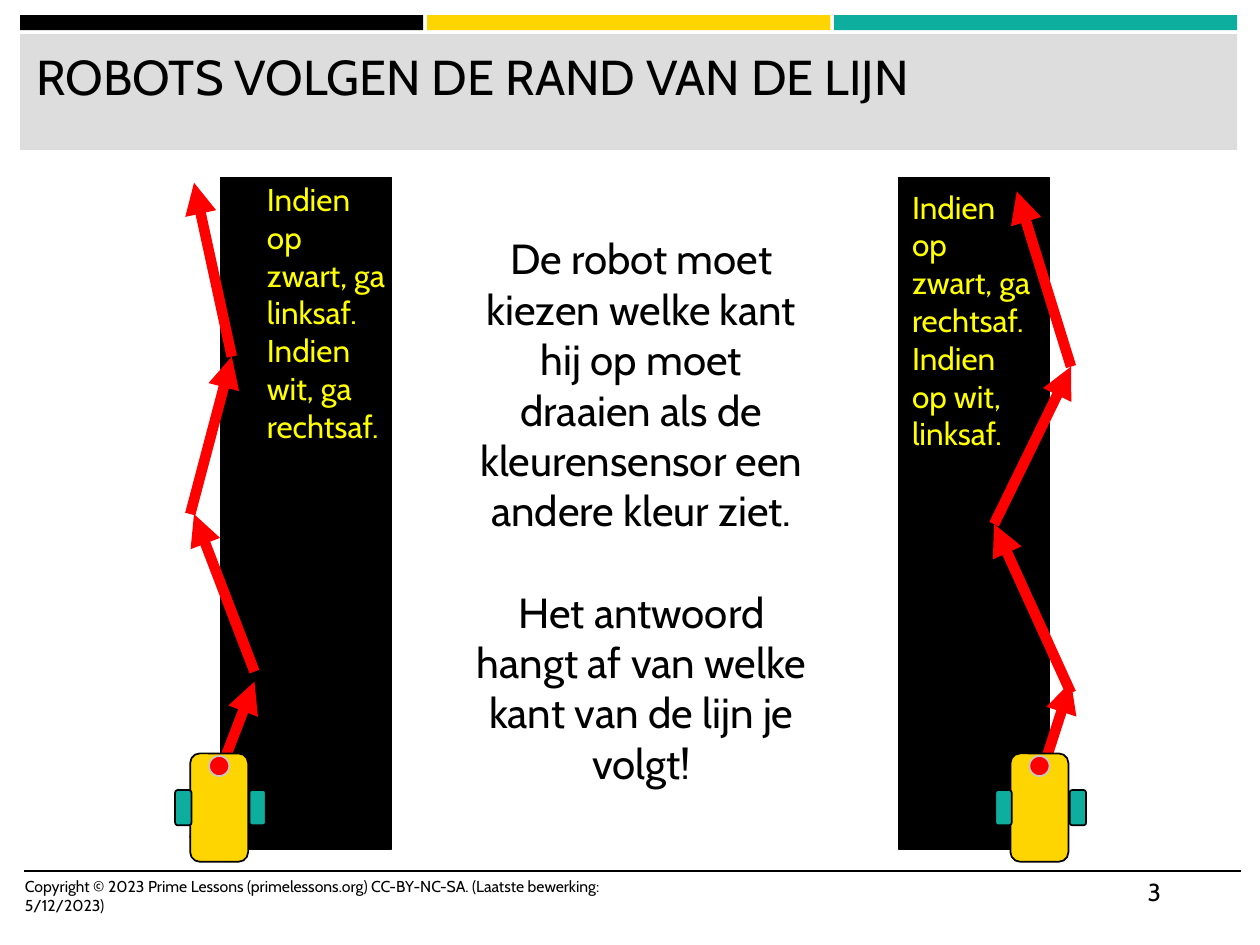
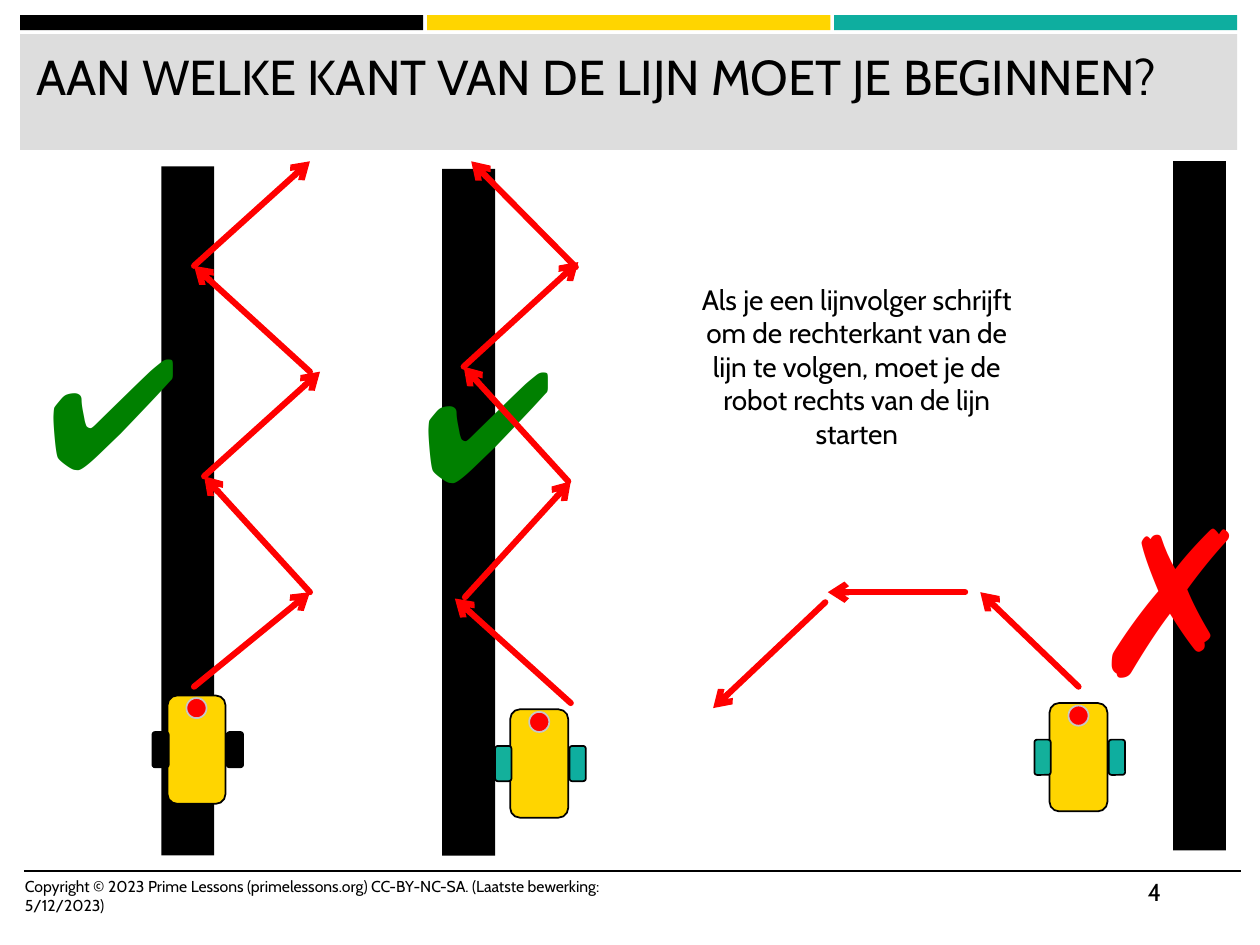
import itertools

import pptx
import pptx.dml.color
import pptx.enum.shapes
import pptx.enum.text
import pptx.oxml.ns
import pptx.util
from lxml import etree

RGB = pptx.dml.color.RGBColor
SHAPE = pptx.enum.shapes.MSO_SHAPE
ALIGN = pptx.enum.text.PP_ALIGN
Inches = pptx.util.Inches
Pt = pptx.util.Pt

BLACK = RGB(0x00, 0x00, 0x00)
WHITE = RGB(0xFF, 0xFF, 0xFF)
GOLD = RGB(0xFF, 0xD5, 0x00)
TEAL = RGB(0x0E, 0xAE, 0x9F)
TEAL_LEFT = RGB(0x13, 0xB0, 0x9B)
GREY = RGB(0xDD, 0xDD, 0xDD)
SILVER = RGB(0xC7, 0xC7, 0xC7)
RED = RGB(0xFF, 0x00, 0x00)
GREEN = RGB(0x00, 0x80, 0x00)
YELLOW = RGB(0xFF, 0xFF, 0x00)

FONT = "Cabin"
MARK_FONT = "Arial"
FOOTER = ("Copyright © 2023 Prime Lessons (primelessons.org) CC-BY-NC-SA. "
          "(Laatste bewerking: 5/12/2023)")
BAND_LEFT, BAND_WIDTH, BAND_PITCH = 0.16, 3.2, 3.23
FOOT_TOP, FOOT_HEIGHT = 6.91, 0.4

# Each route is a list of points; every step between two points is one arrow.
# Robots: left, top, left wheel colour, right wheel colour.
SLIDES = [
    dict(
        number=3,
        title="ROBOTS VOLGEN DE RAND VAN DE LIJN",
        tracks=[(1.75, 1.41, 1.36, 5.33), (7.13, 1.41, 1.2, 5.33)],
        track_outline=0.75,
        marks=[],
        arrow=dict(width=6, head="triangle", cap="flat"),
        routes=[
            [(1.54, 6.66), (2.02, 5.41)],
            [(2.02, 5.33), (1.54, 4.08)],
            [(1.51, 4.08), (1.84, 2.83), (1.54, 1.45)],
            [(8.07, 6.75), (8.5, 5.41)],
            [(8.5, 5.5), (7.89, 4.16), (8.5, 2.91), (8.07, 1.52)],
        ],
        texts=[
            dict(box=(3.65, 1.8, 2.88, 4.54), size=24, align=ALIGN.CENTER, gap=29,
                 lines=["De robot moet kiezen welke kant hij op moet draaien als "
                        "de kleurensensor een andere kleur ziet.",
                        "Het antwoord hangt af van welke kant van de lijn je volgt!"]),
            dict(box=(2.02, 1.38, 1.15, 2.22), size=18, color=YELLOW,
                 lines=["Indien op zwart, ga linksaf.", "Indien wit, ga rechtsaf."]),
            dict(box=(7.14, 1.44, 1.15, 2.22), size=18, color=YELLOW,
                 lines=["Indien op zwart, ga rechtsaf.", "Indien op wit, linksaf."]),
        ],
        robots=[(1.51, 5.98, TEAL, TEAL), (8.02, 5.98, TEAL, TEAL)],
    ),
    dict(
        number=4,
        title="AAN WELKE KANT VAN DE LIJN MOET JE BEGINNEN?",
        tracks=[(1.28, 1.32, 0.42, 5.47), (3.51, 1.34, 0.42, 5.45),
                (9.31, 1.28, 0.42, 5.47)],
        track_outline=None,
        marks=[
            dict(box=(0.27, 2.45, 1.07, 1.58), lines=["✔"], size=88, color=GREEN),
            dict(box=(3.25, 2.55, 1.07, 1.58), lines=["✔"], size=88, color=GREEN),
            dict(box=(8.54, 3.72, 1.07, 2.04), lines=["✗"], size=115, color=RED),
        ],
        arrow=dict(width=3.5, head="arrow", cap="rnd"),
        routes=[
            [(1.54, 5.45), (2.46, 4.7), (1.62, 3.78), (2.54, 2.95)],
            [(2.46, 2.95), (1.54, 2.11), (2.46, 1.28)],
            [(4.53, 5.58), (3.61, 4.75)],
            [(3.69, 4.74), (4.53, 3.82)],
            [(4.51, 3.82), (3.68, 2.91), (4.59, 2.08)],
            [(4.57, 2.12), (3.74, 1.28)],
            [(8.56, 5.45), (7.78, 4.7)],
            [(7.66, 4.7), (6.57, 4.7)],
            [(6.55, 4.78), (5.66, 5.62)],
        ],
        texts=[
            dict(box=(5.36, 2.19, 2.88, 1.18), size=16, align=ALIGN.CENTER,
                 lines=["Als je een lijnvolger schrijft om de rechterkant van de "
                        "lijn te volgen, moet je de robot rechts van de lijn starten"]),
        ],
        robots=[(1.33, 5.52, BLACK, BLACK), (4.05, 5.63, TEAL_LEFT, TEAL),
                (8.33, 5.58, TEAL_LEFT, TEAL)],
    ),
]


def add_block(s, kind, box, fill, outline=None, width=1):
    sp = s.shapes.add_shape(kind, *map(Inches, box))
    sp.shadow.inherit = False
    sp.fill.solid()
    sp.fill.fore_color.rgb = fill
    if outline is None:
        sp.line.fill.background()
    else:
        sp.line.color.rgb = outline
        sp.line.width = Pt(width)


def add_line(s, start, end, color, width, head=None, cap="flat"):
    points = map(Inches, (*start, *end))
    line = s.shapes.add_connector(pptx.enum.shapes.MSO_CONNECTOR.STRAIGHT, *points)
    line.line.color.rgb = color
    line.line.width = Pt(width)
    qn = pptx.oxml.ns.qn
    sp_pr = line._element.spPr
    ln = sp_pr.find(qn("a:ln"))
    ln.set("cap", cap)
    if head:
        etree.SubElement(ln, qn("a:tailEnd"), type=head)
    etree.SubElement(sp_pr, qn("a:effectLst"))


def add_text(s, box, lines, size, color=BLACK, font=FONT, align=ALIGN.LEFT, gap=0):
    """Write one paragraph per line, with gap points between them."""
    tf = s.shapes.add_textbox(*map(Inches, box)).text_frame
    tf.word_wrap = True
    for i, line in enumerate(lines):
        p = tf.add_paragraph() if i else tf.paragraphs[0]
        p.alignment = align
        if i and gap:
            p.space_before = Pt(gap)
        r = p.add_run()
        r.text = line
        r.font.name = font
        r.font.size = Pt(size)
        r.font.color.rgb = color


def add_frame(s, title, number):
    """Draw the bands, title and footer that every slide shares."""
    for i, color in enumerate((BLACK, GOLD, TEAL)):
        left = BAND_LEFT + i * BAND_PITCH
        add_block(s, SHAPE.RECTANGLE, (left, 0.12, BAND_WIDTH, 0.12), color)
    title_width = 2 * BAND_PITCH + BAND_WIDTH
    add_block(s, SHAPE.RECTANGLE, (BAND_LEFT, 0.27, title_width, 0.92), GREY)
    add_line(s, (0.19, FOOT_TOP), (9.85, FOOT_TOP), BLACK, 1)
    add_text(s, (0.19, 0.32, 9.57, 0.82), [title], 28)
    add_text(s, (0.1, FOOT_TOP, 5.33, FOOT_HEIGHT), [FOOTER], 9)
    add_text(s, (9.01, FOOT_TOP, 0.84, FOOT_HEIGHT), [str(number)], 14)


def add_robot(s, left, top, left_wheel, right_wheel):
    add_block(s, SHAPE.ROUNDED_RECTANGLE, (left, top, 0.46, 0.86), GOLD, BLACK)
    for dx, color in ((0.47, right_wheel), (-0.12, left_wheel)):
        wheel = (left + dx, top + 0.29, 0.13, 0.28)
        add_block(s, SHAPE.ROUNDED_RECTANGLE, wheel, color, BLACK)
    add_block(s, SHAPE.OVAL, (left + 0.15, top + 0.02, 0.16, 0.16), RED, SILVER)


def add_slide(prs, content):
    s = prs.slides.add_slide(prs.slide_layouts[6])
    s.background.fill.solid()
    s.background.fill.fore_color.rgb = WHITE
    add_frame(s, content["title"], content["number"])
    outline = content["track_outline"]
    for track in content["tracks"]:
        add_block(s, SHAPE.RECTANGLE, track, BLACK, BLACK if outline else None, outline)
    for mark in content["marks"]:
        add_text(s, font=MARK_FONT, **mark)
    for route in content["routes"]:
        for start, end in itertools.pairwise(route):
            add_line(s, start, end, RED, **content["arrow"])
    for text in content["texts"]:
        add_text(s, **text)
    for robot in content["robots"]:
        add_robot(s, *robot)


def main():
    prs = pptx.Presentation()
    prs.slide_width, prs.slide_height = Inches(10), Inches(7.5)
    for content in SLIDES:
        add_slide(prs, content)
    prs.save("out.pptx")


if __name__ == "__main__":
    main()
